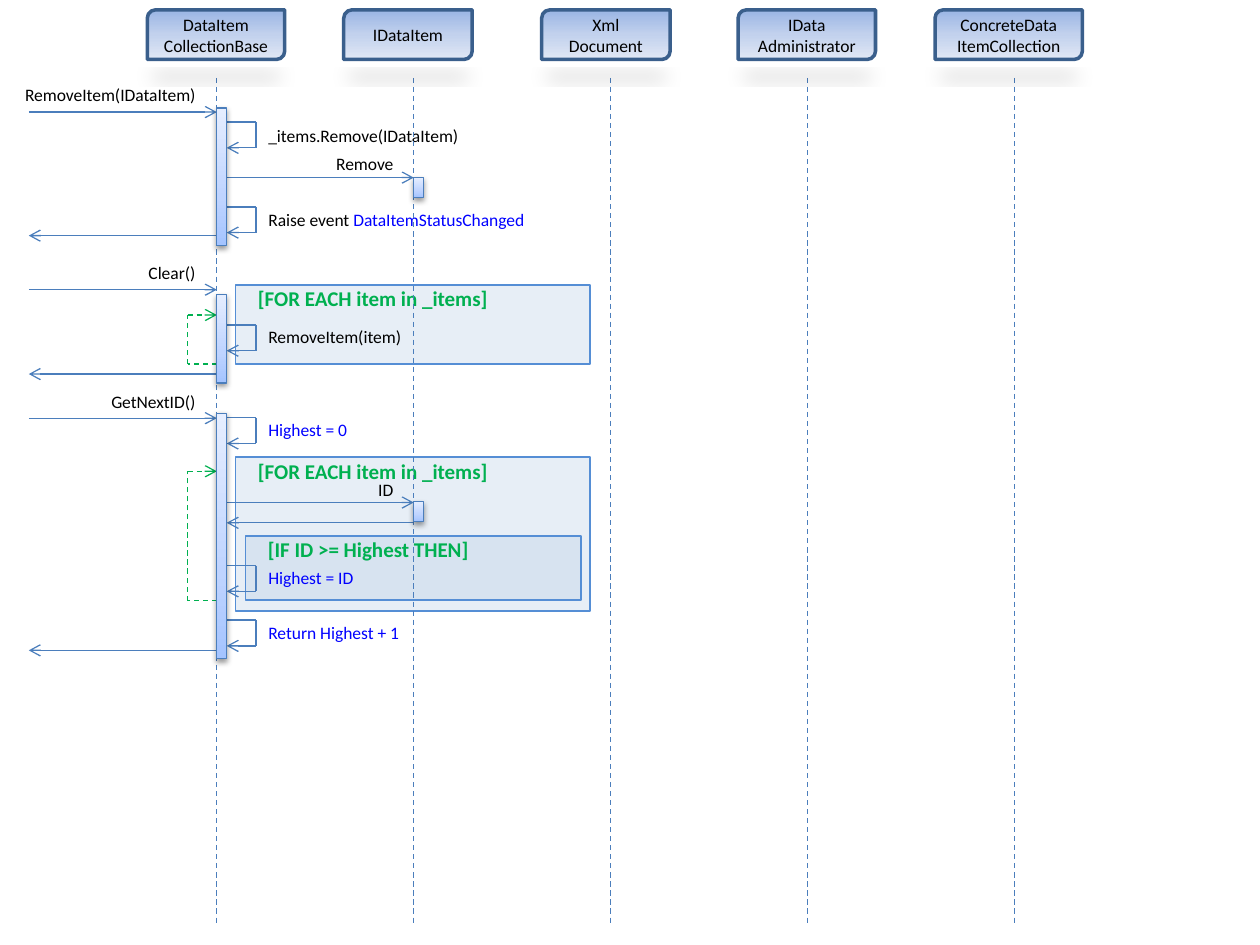
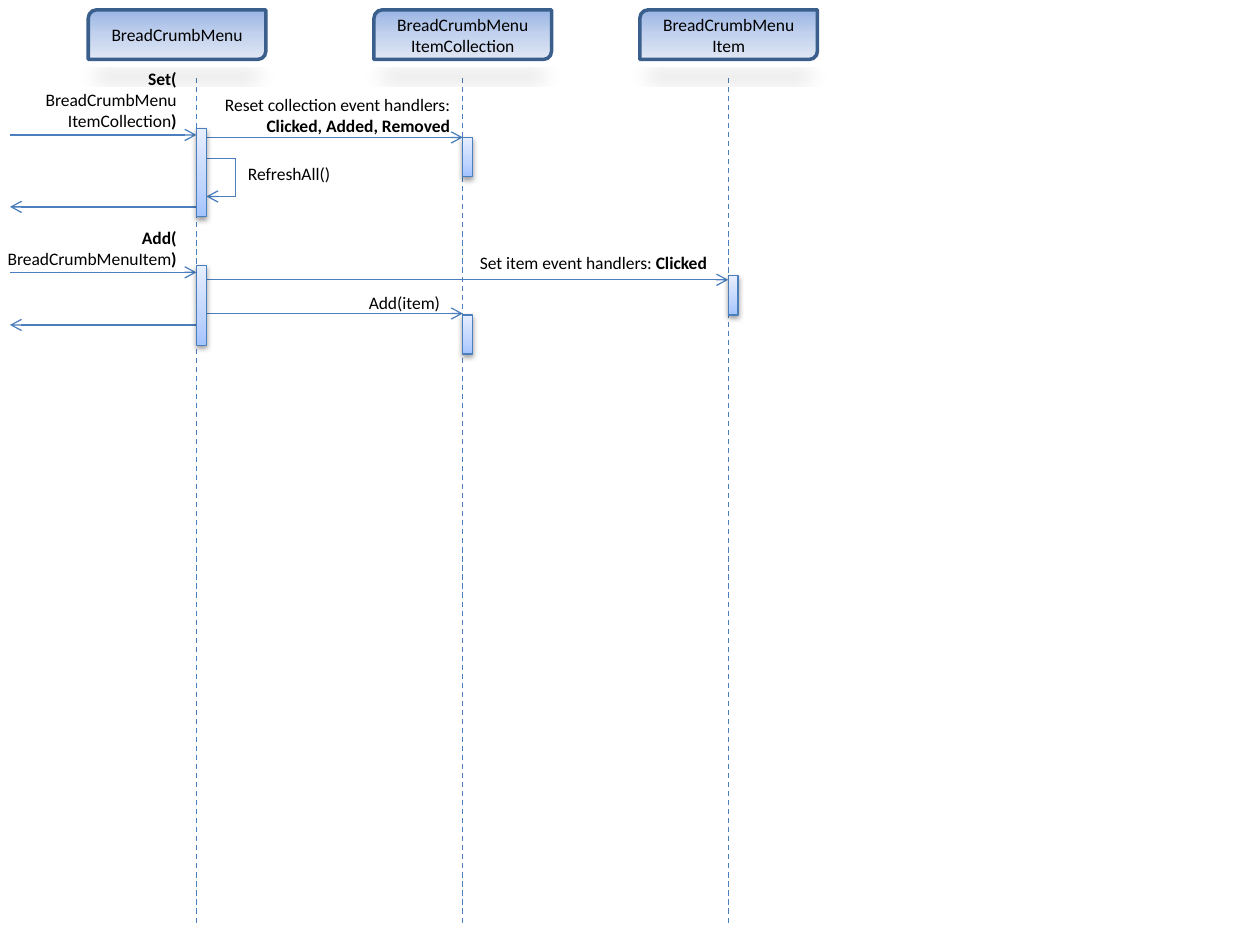
from pptx import Presentation
from pptx.dml.color import RGBColor
from pptx.enum import dml, shapes as sh, text as tx
from pptx.oxml import parse_xml
from pptx.oxml.ns import nsdecls
from pptx.util import Cm, Pt

# Shared colours
BLACK = RGBColor(0x00, 0x00, 0x00)
BLUE = RGBColor(0x00, 0x00, 0xFF)
GREEN = RGBColor(0x00, 0xB0, 0x50)
LINE = RGBColor(0x4B, 0x7E, 0xBC)
EDGE = RGBColor(0x3A, 0x5F, 0x8C)
RIM = RGBColor(0x55, 0x8E, 0xD5)
PALE = RGBColor(0xB9, 0xCD, 0xE5)
HEAD = [(0, RGBColor(0x9A, 0xB5, 0xE4)), (50, RGBColor(0xC2, 0xD1, 0xED)),
        (100, RGBColor(0xE1, 0xE8, 0xF5))]
BAR = [(0, RGBColor(0xA4, 0xC4, 0xFF)), (35, RGBColor(0xBF, 0xD4, 0xFF)),
       (100, RGBColor(0xE6, 0xEE, 0xFF))]

# Run looks: colour, bold, size
LOOKS = {"text": (BLACK, False, 10), "bold": (BLACK, True, 10),
         "blue": (BLUE, False, 10), "cond": (GREEN, True, 12)}
LEFT, MID, RIGHT = tx.PP_ALIGN.LEFT, tx.PP_ALIGN.CENTER, tx.PP_ALIGN.RIGHT

# Shape styles: preset, stops, angle, edge colour, edge width, shadow
ACTOR = (sh.MSO_SHAPE.ROUND_2_DIAG_RECTANGLE, HEAD, 90, EDGE, 2,
         'blurRad="152400" dist="88900" sx="90000" sy="-19000"', 15)
ACTIVE = (sh.MSO_SHAPE.RECTANGLE, BAR, 270, LINE, 0.75,
          'blurRad="39370" dist="20320"', 38)

# Lengths in cm
THICK = 0.2     # activation bar
LOOP = 0.59     # reach of self calls and loops
ROW = 0.69      # height of a one-line label

# Slide contents
remove = {
    # left, width, lifeline, name lines, bars (top, height)
    "actors": [
        (10.92, 2.59, 12.31, ["Xml", "Document"], []),
        (14.88, 2.77, 16.28, ["IData", "Administrator"], []),
        (18.85, 2.97, 20.45, ["ConcreteData", "ItemCollection"], []),
        (2.97, 2.77, 4.37, ["DataItem", "CollectionBase"],
         [(2.18, 2.77), (5.94, 1.78), (8.33, 4.95)]),
        (6.93, 2.59, 8.34, ["IDataItem"], [(3.58, 0.4), (10.11, 0.4)]),
    ],
    "main": 4.37,
    # left, top, width, height, condition
    "frames": [
        (4.75, 5.74, 7.14, 1.6, "[FOR EACH item in _items]"),
        (4.75, 9.22, 7.14, 3.1, "[FOR EACH item in _items]"),
        (4.95, 10.8, 6.76, 1.3, "[IF ID >= Highest THEN]"),
    ],
    # from x, to x, y
    "calls": [
        (0.58, 4.37, 2.26), (4.37, 0.58, 4.75), (4.57, 8.34, 3.58),
        (0.58, 4.37, 5.84), (4.37, 0.58, 7.54),
        (0.58, 4.37, 8.43), (4.37, 0.58, 13.11),
        (4.57, 8.34, 10.13), (8.34, 4.57, 10.54),
    ],
    # top, bottom
    "loops": [(6.35, 7.34), (9.5, 12.11)],
    # top, height, label top, label width, runs
    "selfs": [
        (2.46, 0.52, 2.39, 4.78, [("text", "_items.Remove(IDataItem)")]),
        (4.17, 0.52, 4.09, 5.94, [("text", "Raise event "),
                                  ("blue", "DataItemStatusChanged")]),
        (6.55, 0.52, 6.45, 5.94, [("text", "RemoveItem(item)")]),
        (8.42, 0.52, 8.33, 5.94, [("blue", "Highest = 0")]),
        (11.4, 0.52, 11.3, 5.94, [("blue", "Highest = ID")]),
        (12.5, 0.52, 12.42, 5.94, [("blue", "Return Highest + 1")]),
    ],
    # left, top, width, height, paragraphs of runs
    "labels": [
        (0.2, 1.57, 3.99, ROW, [[("text", "RemoveItem(IDataItem)")]]),
        (5.56, 2.97, 2.62, ROW, [[("text", "Remove")]]),
        (0.2, 5.16, 3.99, ROW, [[("text", "Clear()")]]),
        (0.2, 7.75, 3.99, ROW, [[("text", "GetNextID()")]]),
        (5.56, 9.53, 2.62, ROW, [[("text", "ID")]]),
    ],
}
menu = {
    "actors": [
        (1.78, 3.58, 3.96, ["BreadCrumbMenu"], [(5.36, 1.6), (2.59, 1.78)]),
        (12.9, 3.58, 14.68, ["BreadCrumbMenu", "Item"], [(5.56, 0.79)]),
        (7.54, 3.58, 9.33, ["BreadCrumbMenu", "ItemCollection"],
         [(2.77, 0.79), (6.35, 0.79)]),
    ],
    "main": 3.96,
    "frames": [],
    "calls": [
        (0.2, 3.96, 2.72), (3.96, 0.2, 4.17), (4.17, 9.33, 2.77),
        (0.2, 3.96, 5.49), (3.96, 0.2, 6.55),
        (4.17, 14.68, 5.64), (4.17, 9.33, 6.32),
    ],
    "loops": [],
    "selfs": [(3.19, 0.77, 3.17, 2.21, [("text", "RefreshAll()")])],
    "labels": [
        (0, 1.24, 3.81, 1.55, [[("bold", "Set(")],
                               [("text", "BreadCrumbMenu")],
                               [("text", "ItemCollection"), ("bold", ")")]]),
        (3.96, 1.78, 5.36, 1.12,
         [[("text", "Reset collection event handlers:")],
          [("bold", "Clicked, Added, Removed")]]),
        (-0.79, 4.45, 4.6, 1.12,
         [[("bold", "Add(")],
          [("text", "BreadCrumbMenuItem"), ("bold", ")")]]),
        (8.94, 4.95, 5.56, ROW, [[("text", "Set item event handlers: "),
                                  ("bold", "Clicked")]]),
        (6.35, 5.77, 2.77, ROW, [[("text", "Add(item)")]]),
    ],
}


def link(page, x1, y1, x2, y2, hue=LINE, dash=False, arrow=False):
    wire = page.shapes.add_connector(sh.MSO_CONNECTOR.STRAIGHT,
                                     Cm(x1), Cm(y1), Cm(x2), Cm(y2))
    wire.line.color.rgb = hue
    wire.line.width = Pt(0.75)
    if dash:
        wire.line.dash_style = dml.MSO_LINE.DASH
    if arrow:
        wire.line._get_or_add_ln().append(
            parse_xml(f'<a:tailEnd {nsdecls("a")} type="arrow"/>'))
    wire._element.spPr.append(parse_xml(f'<a:effectLst {nsdecls("a")}/>'))


def write(box, paras, align):
    frame = box.text_frame
    frame.word_wrap = True
    for i, runs in enumerate(paras):
        para = frame.add_paragraph() if i else frame.paragraphs[0]
        para.alignment = align
        for look, words in runs:
            run = para.add_run()
            run.text = words
            run.font.name = "Calibri"
            run.font.color.rgb, run.font.bold, size = LOOKS[look]
            run.font.size = Pt(size)


deck = Presentation()
deck.slide_width, deck.slide_height = Cm(25.4), Cm(19.05)

for part in (remove, menu):
    page = deck.slides.add_slide(deck.slide_layouts[6])
    main = part["main"]
    notes = [(*row, RIGHT) for row in part["labels"]]

    # Condition frames
    for left, top, width, height, cond in part["frames"]:
        area = page.shapes.add_shape(sh.MSO_SHAPE.RECTANGLE, Cm(left), Cm(top),
                                     Cm(width), Cm(height))
        area.shadow.inherit = False
        area.fill.solid()
        area.fill.fore_color.rgb = PALE
        tint = area._element.spPr.find(".//{*}solidFill/{*}srgbClr")
        tint.append(parse_xml(f'<a:alpha {nsdecls("a")} val="33000"/>'))
        area.line.color.rgb = RIM
        area.line.width = Pt(1)
        notes.append((left + 0.2, top - 0.1, 6.76, 0.79,
                      [[("cond", cond)]], LEFT))

    # Calls and returns
    for start, end, y in part["calls"]:
        link(page, start, y, end, y, arrow=True)

    # Self calls, to the right of the main bar
    for top, height, place, width, runs in part["selfs"]:
        near, far, low = main + THICK, main + THICK + LOOP, top + height
        link(page, near, top, far, top)
        link(page, far, top, far, low)
        link(page, far, low, near, low, arrow=True)
        notes.append((far, place, width, ROW, [runs], LEFT))

    # Loops, to the left of the main bar
    for top, low in part["loops"]:
        far = main - LOOP
        link(page, main, low, far, low, GREEN, dash=True)
        link(page, far, low, far, top, GREEN, dash=True)
        link(page, far, top, main, top, GREEN, dash=True, arrow=True)

    # Labels
    for left, top, width, height, paras, align in notes:
        box = page.shapes.add_textbox(Cm(left), Cm(top), Cm(width), Cm(height))
        write(box, paras, align)
        box.text_frame.auto_size = tx.MSO_AUTO_SIZE.SHAPE_TO_FIT_TEXT

    # Actors, lifelines and activation bars
    for left, width, axis, names, bars in part["actors"]:
        link(page, axis, 1.57, axis, 18.65, dash=True)
        blocks = [(ACTOR, left, 0.2, width, 1, names)]
        blocks += [(ACTIVE, axis, top, THICK, height, [])
                   for top, height in bars]
        for style, x, y, wide, high, lines in blocks:
            form, stops, angle, edge, weight, shade, alpha = style
            block = page.shapes.add_shape(form, Cm(x), Cm(y), Cm(wide), Cm(high))
            block.line.color.rgb = edge
            block.line.width = Pt(weight)
            block.fill.solid()
            props = block._element.spPr
            steps = "".join(f'<a:gs pos="{pos * 1000}"><a:srgbClr val="{hue}"/></a:gs>'
                            for pos, hue in stops)
            props.replace(props.find("{*}solidFill"), parse_xml(
                f'<a:gradFill {nsdecls("a")} rotWithShape="1"><a:gsLst>{steps}</a:gsLst>'
                f'<a:lin ang="{angle * 60000}" scaled="0"/></a:gradFill>'))
            block.shadow.inherit = False
            props.find("{*}effectLst").append(parse_xml(
                f'<a:outerShdw {nsdecls("a")} {shade} dir="5400000" rotWithShape="0">'
                f'<a:srgbClr val="{BLACK}"><a:alpha val="{alpha * 1000}"/>'
                f'</a:srgbClr></a:outerShdw>'))
            if lines:
                block.text_frame.vertical_anchor = tx.MSO_ANCHOR.MIDDLE
                write(block, [[("text", name)] for name in lines], MID)

deck.save("out.pptx")
